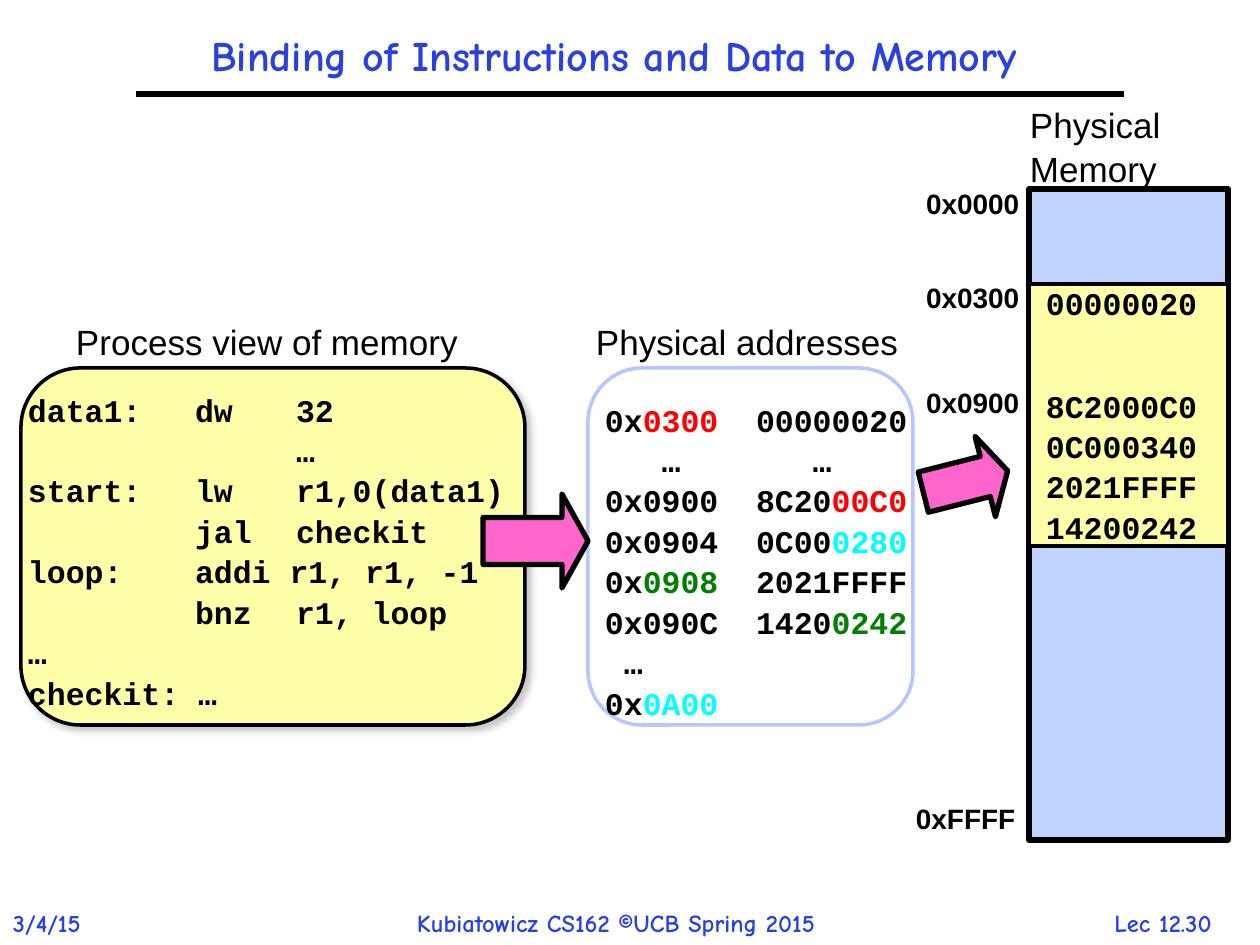
from lxml.etree import SubElement
from pptx import Presentation
from pptx.dml.color import RGBColor
from pptx.enum.shapes import MSO_CONNECTOR, MSO_SHAPE
from pptx.enum.text import MSO_ANCHOR, PP_ALIGN
from pptx.oxml.ns import qn
from pptx.util import Emu, Pt

SCALE = 914400 / 126
BLACK, BLUE, YELLOW, PINK = "000000", "2A40E2", "FFFFAA", "FF66CC"
RED, CYAN, GREEN = "FF0000", "00FFFF", "008000"
LABEL = {"font": "Arial", "size": 20, "spacing": 1.05, "wrap": False}
ADDRESS = {**LABEL, "size": 16, "bold": True}
CODE = {"font": "Courier New", "size": 18, "bold": True, "spacing": 1.07, "left_inset": 28}
HEADING = {"font": "Comic Neue", "bold": True, "color": BLUE}


def px(length):
    """Turn pixels into EMU."""
    return Emu(round(length * SCALE))


def rgb(color):
    """Turn a hex string into a colour."""
    return RGBColor.from_string(color)


def write(frame, lines, font, size, bold=False, color=BLACK, align=PP_ALIGN.LEFT,
          spacing=1.0, wrap=True, left_inset=13, tabs=()):
    """Write lines, each a string or a list of (text, colour) pairs, into a text frame."""
    frame.word_wrap = wrap
    frame.margin_left, frame.margin_right = px(left_inset), px(13)
    frame.margin_top = frame.margin_bottom = px(6)
    for index, line in enumerate(lines):
        paragraph = frame.add_paragraph() if index else frame.paragraphs[0]
        if tabs:
            tab_list = SubElement(paragraph._p.get_or_add_pPr(), qn("a:tabLst"))
            for position in tabs:
                SubElement(tab_list, qn("a:tab"), pos=str(px(position)), algn="l")
        paragraph.alignment = align
        paragraph.line_spacing = spacing
        for text, run_color in [(line, color)] if isinstance(line, str) else line:
            run = paragraph.add_run()
            run.text = text
            run.font.name, run.font.size, run.font.bold = font, Pt(size), bold
            run.font.color.rgb = rgb(run_color)


def add_text(slide, box, lines, **text_format):
    """Add a text box."""
    shape = slide.shapes.add_textbox(*map(px, box))
    write(shape.text_frame, lines, **text_format)


def add_block(slide, kind, box, fill, line, width):
    """Add a filled and outlined shape without a shadow."""
    shape = slide.shapes.add_shape(kind, *map(px, box))
    shape.shadow.inherit = False
    shape.fill.solid()
    shape.fill.fore_color.rgb = rgb(fill)
    shape.line.color.rgb = rgb(line)
    shape.line.width = Pt(width)
    return shape


def add_arrow(slide, box, rotation=0):
    """Add a pink block arrow."""
    arrow = add_block(slide, MSO_SHAPE.RIGHT_ARROW, box, PINK, BLACK, 3)
    arrow.adjustments[1] = 0.278
    arrow.rotation = rotation


def add_soft_shadow(shape):
    """Give a shape a soft grey shadow to the lower right."""
    effects = shape._element.spPr.find(qn("a:effectLst"))
    shadow = SubElement(effects, qn("a:outerShdw"), blurRad=str(Pt(4)), dist=str(Pt(3)),
                        dir="2700000", algn="tl", rotWithShape="0")
    color = SubElement(shadow, qn("a:srgbClr"), val="808080")
    SubElement(color, qn("a:alpha"), val="43000")


def add_title(slide, box, text):
    """Place the title and the rule beneath it."""
    left, top, width, height = box
    title = slide.shapes.title
    title.left, title.top, title.width, title.height = map(px, box)
    title.text_frame.vertical_anchor = MSO_ANCHOR.MIDDLE
    write(title.text_frame, [text], size=24, align=PP_ALIGN.CENTER, spacing=0.9, **HEADING)
    bottom = px(top + height)
    rule = slide.shapes.add_connector(
        MSO_CONNECTOR.STRAIGHT, px(left + 42), bottom, px(left + width - 10), bottom)
    rule.line.color.rgb = rgb(BLACK)
    rule.line.width = Pt(3)
    SubElement(rule._element.spPr, qn("a:effectLst"))


def add_footer(slide, box):
    """Place the date, the course line and the page number."""
    left, top, width, height = box
    for offset, part_width, text in (
            (0, 111, "3/4/15"),
            (404, 488, "Kubiatowicz CS162 ©UCB Spring 2015"),
            (width - 181, 168, "Lec 12.30")):
        align = PP_ALIGN.CENTER if text.startswith("Lec") else PP_ALIGN.LEFT
        add_text(slide, (left + offset, top, part_width, height), [text],
                 size=14, align=align, wrap=False, **HEADING)


def add_process_view(slide, box):
    """Place the assembly listing in its yellow box."""
    left, top, width, height = box
    panel = add_block(slide, MSO_SHAPE.ROUNDED_RECTANGLE, box, YELLOW, BLACK, 2)
    add_soft_shadow(panel)
    add_text(slide, (left + 42, top - 56, 412, 55), ["Process view of memory"], **LABEL)
    listing = ["data1:\tdw\t32", "\t\t…", "start:\tlw\tr1,0(data1)", "\tjal\tcheckit",
               "loop:\taddi r1, r1, -1", "\tbnz\tr1, loop", "…", "checkit: …"]
    add_text(slide, (left - 21, top + 14, width + 42, 318), listing, tabs=(167, 268), **CODE)


def add_physical_addresses(slide, box):
    """Place the bound addresses and words in their outlined box."""
    left, top, width, height = box
    add_block(slide, MSO_SHAPE.ROUNDED_RECTANGLE, box, "FFFFFF", "B7C6FE", 2)
    add_text(slide, (left - 5, top - 56, 330, 55), ["Physical addresses"], **LABEL)
    words = [
        [("0x", BLACK), ("0300", RED), ("\t00000020", BLACK)],
        "   …\t   …",
        [("0x0900\t8C20", BLACK), ("00C0", RED)],
        [("0x0904\t0C00", BLACK), ("0280", CYAN)],
        [("0x", BLACK), ("0908", GREEN), ("\t2021FFFF", BLACK)],
        [("0x090C\t1420", BLACK), ("0242", GREEN)],
        " …",
        [("0x", BLACK), ("0A00", CYAN)],
    ]
    add_text(slide, (left - 11, top + 24, width + 21, 318), words, tabs=(151,), **CODE)


def add_physical_memory(slide, box):
    """Place the memory column with its addresses and contents."""
    left, top, width, height = box
    add_block(slide, MSO_SHAPE.RECTANGLE, box, "C0D2FE", BLACK, 3)
    add_block(slide, MSO_SHAPE.RECTANGLE, (left, top + 95, width, 262), YELLOW, BLACK, 2)
    add_text(slide, (left - 12, top - 94, 158, 97), ["Physical", "Memory"], **LABEL)
    for offset, label_left, label_width, address in (
            (-10, -116, 120, "0x0000"), (84, -116, 120, "0x0300"),
            (189, -116, 120, "0x0900"), (605, -126, 126, "0xFFFF")):
        add_text(slide, (left + label_left, top + offset, label_width, 47), [address], **ADDRESS)
    for offset, words in (
            (86, ["00000020"]),
            (189, ["8C2000C0", "0C000340", "2021FFFF", "14200242"])):
        add_text(slide, (left - 11, top + offset, width, 12 + 38 * len(words)), words, **CODE)


def main():
    """Build and save the slide."""
    presentation = Presentation()
    presentation.slide_width, presentation.slide_height = px(1260), px(945)
    slide = presentation.slides.add_slide(presentation.slide_layouts[5])
    add_title(slide, (94, 21, 1040, 73), "Binding of Instructions and Data to Memory")
    add_process_view(slide, (21, 368, 504, 357))
    add_physical_addresses(slide, (588, 368, 325, 357))
    add_physical_memory(slide, (1029, 189, 199, 651))
    add_arrow(slide, (483, 494, 105, 94))
    add_arrow(slide, (922, 440, 87, 83), rotation=345.8)
    add_footer(slide, (0, 902, 1260, 43))
    presentation.save("out.pptx")


if __name__ == "__main__":
    main()
